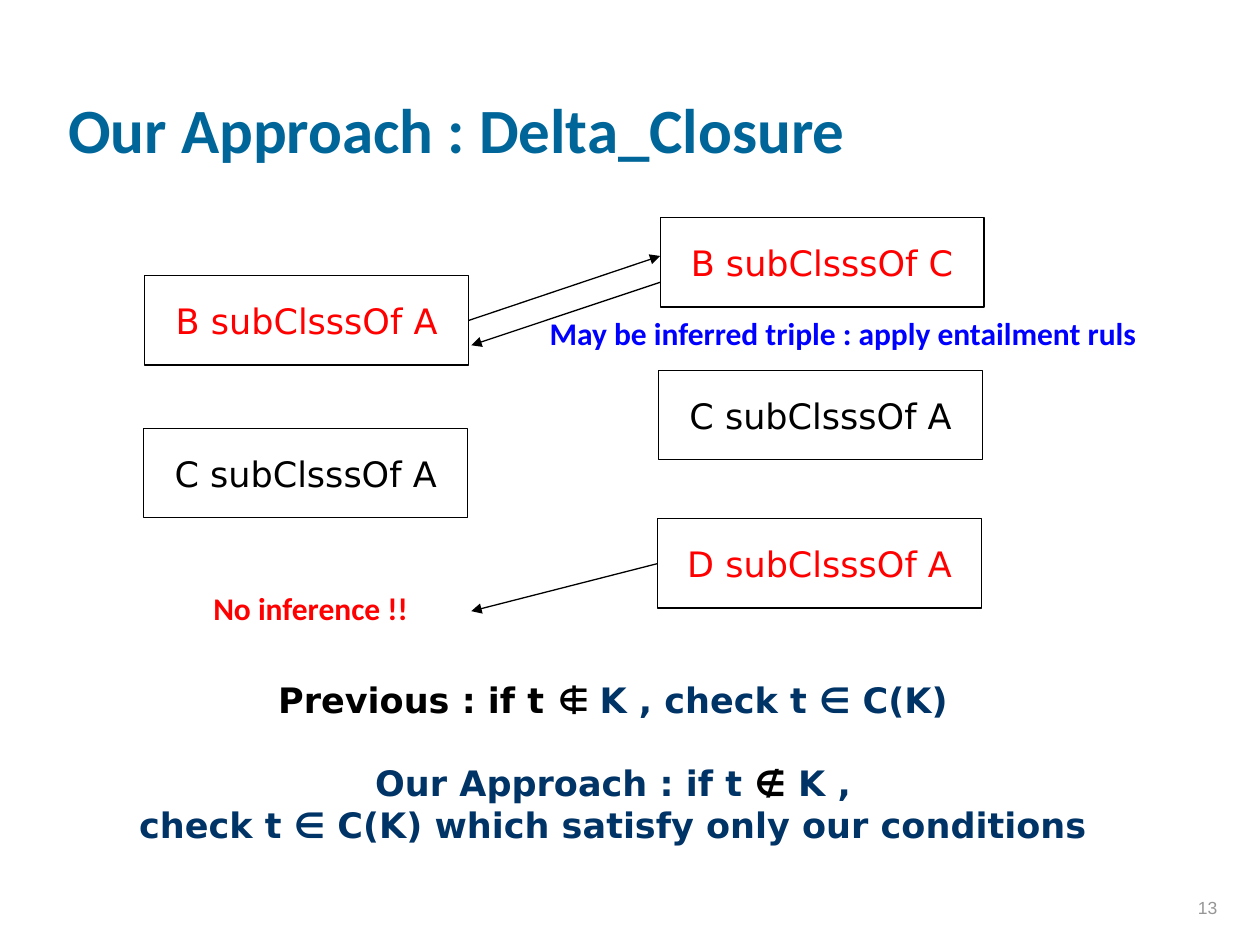
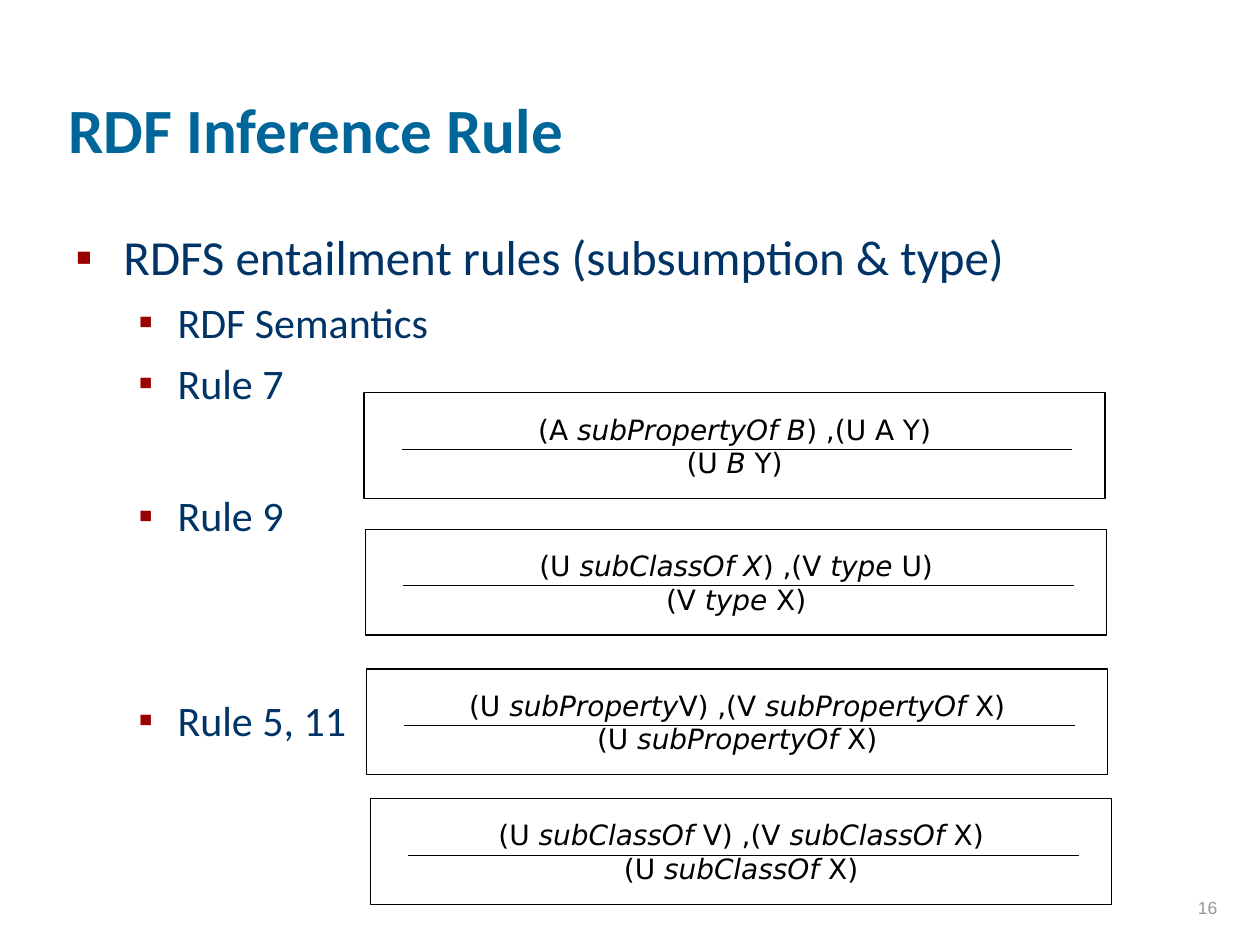
import pptx
import pptx.dml.color
import pptx.enum.shapes
import pptx.enum.text
import pptx.oxml
import pptx.oxml.ns
import pptx.util
from lxml import etree

Cm = pptx.util.Cm
Pt = pptx.util.Pt
RGBColor = pptx.dml.color.RGBColor
ALIGN = pptx.enum.text.PP_ALIGN
ANCHOR = pptx.enum.text.MSO_ANCHOR
qn = pptx.oxml.ns.qn

BLACK = RGBColor(0x00, 0x00, 0x00)
RED = RGBColor(0xFF, 0x00, 0x00)
BLUE = RGBColor(0x00, 0x00, 0xFF)
NAVY = RGBColor(0x00, 0x33, 0x66)
TEAL = RGBColor(0x00, 0x66, 0x99)
GREY = RGBColor(0x96, 0x96, 0x96)
BULLET_RED = RGBColor(0x99, 0x00, 0x00)

TITLE_FORMAT = {"name": "Calibri", "size": Pt(36), "bold": True, "color": TEAL}
NUMBER_FORMAT = {"name": "Arial", "size": Pt(10), "color": GREY}
TRIPLE_FORMAT = {"name": "DejaVu Sans", "size": Pt(20)}
RULE_FORMAT = {"name": "DejaVu Sans", "size": Pt(16), "color": BLACK}
LABEL_FORMAT = {"name": "Calibri", "size": Pt(18), "bold": True}
CONCLUSION_FORMAT = {"name": "DejaVu Sans", "size": Pt(20), "bold": True, "color": NAVY}
LIST_FORMAT = {"name": "Calibri", "color": NAVY}

# Per list level: left margin and hanging indent in cm, text size in points
LIST_LEVELS = [(0.97, 0.97, 28), (2.06, 0.79, 24)]


def format_font(font, values):
    for name, value in values.items():
        if name == "color":
            font.color.rgb = value
        else:
            setattr(font, name, value)


def add_run(paragraph, text, values):
    run = paragraph.add_run()
    run.text = text
    format_font(run.font, values)


def add_text_box(slide, left, top, width, height):
    frame = slide.shapes.add_textbox(Cm(left), Cm(top), Cm(width), Cm(height)).text_frame
    frame.word_wrap = True
    return frame


def add_titled_slide(presentation, title, number):
    slide = presentation.slides.add_slide(presentation.slide_layouts[5])
    placeholder = slide.shapes.title
    geometry = {"left": 1.12, "top": 0.3, "width": 21.59, "height": 3.18}
    for name, value in geometry.items():
        setattr(placeholder, name, Cm(value))
    frame = placeholder.text_frame
    frame.auto_size = pptx.enum.text.MSO_AUTO_SIZE.NONE
    frame.vertical_anchor = ANCHOR.BOTTOM
    frame.paragraphs[0].alignment = ALIGN.LEFT
    add_run(frame.paragraphs[0], title, TITLE_FORMAT)

    frame = add_text_box(slide, 19.51, 17.37, 5.28, 1.27)
    frame.vertical_anchor = ANCHOR.BOTTOM
    frame.paragraphs[0].alignment = ALIGN.RIGHT
    add_run(frame.paragraphs[0], str(number), NUMBER_FORMAT)
    return slide


def add_box(slide, left, top, width, height, lines, values):
    """Outlined box with centred lines; text between asterisks is italic."""
    box = slide.shapes.add_shape(pptx.enum.shapes.MSO_SHAPE.RECTANGLE,
                                 Cm(left), Cm(top), Cm(width), Cm(height))
    box.shadow.inherit = False
    box.fill.background()
    box.line.color.rgb = BLACK
    box.line.width = Pt(0.75)
    frame = box.text_frame
    frame.word_wrap = False
    frame.vertical_anchor = ANCHOR.MIDDLE
    for index, line in enumerate(lines):
        paragraph = frame.add_paragraph() if index else frame.paragraphs[0]
        paragraph.alignment = ALIGN.CENTER
        for part, text in enumerate(line.split("*")):
            add_run(paragraph, text, {**values, "italic": part % 2 == 1})
    return box


def add_line(slide, start, end, arrow=False):
    connector = slide.shapes.add_connector(pptx.enum.shapes.MSO_CONNECTOR.STRAIGHT,
                                           *map(Cm, start + end))
    connector.line.color.rgb = BLACK
    connector.line.width = Pt(0.75)
    if arrow:
        etree.SubElement(connector.line._get_or_add_ln(), qn("a:tailEnd"), type="triangle")
    etree.SubElement(connector._element.spPr, qn("a:effectLst"))
    return connector


def add_label(slide, left, top, width, text, color):
    paragraph = add_text_box(slide, left, top, width, 1.35).paragraphs[0]
    paragraph.line_spacing = 0.8
    add_run(paragraph, text, {**LABEL_FORMAT, "color": color})


def add_conclusion(slide, paragraphs):
    """Centred statements, each given as space before and runs with overrides."""
    frame = add_text_box(slide, 1.86, 13.56, 21, 3.8)
    for index, (space_before, runs) in enumerate(paragraphs):
        paragraph = frame.add_paragraph() if index else frame.paragraphs[0]
        paragraph.alignment = ALIGN.CENTER
        paragraph.space_before = Pt(space_before)
        for text, overrides in runs:
            add_run(paragraph, text, {**CONCLUSION_FORMAT, **overrides})


def add_bullet(paragraph, margin, hanging):
    properties = paragraph._p.get_or_add_pPr()
    properties.set("marL", str(Cm(margin)))
    properties.set("indent", str(-Cm(hanging)))
    color = etree.SubElement(properties, qn("a:buClr"))
    etree.SubElement(color, qn("a:srgbClr"), val=str(BULLET_RED))
    etree.SubElement(properties, qn("a:buFont"), typeface="Arial")
    etree.SubElement(properties, qn("a:buChar"), char="▪")


def add_bullet_list(slide, items):
    frame = add_text_box(slide, 1.27, 4.45, 22.7, 12.4)
    for index, (level, space_before, text) in enumerate(items):
        paragraph = frame.add_paragraph() if index else frame.paragraphs[0]
        margin, hanging, size = LIST_LEVELS[level]
        paragraph.level = level
        paragraph.space_before = Pt(space_before)
        add_bullet(paragraph, margin, hanging)
        add_run(paragraph, text, {**LIST_FORMAT, "size": Pt(size)})


def add_rule(slide, left, top, premises, consequence):
    add_box(slide, left, top, 14.94, 2.13, [premises, consequence], RULE_FORMAT)
    bar_left, bar_top = left + 0.76, top + 1.14
    add_line(slide, (bar_left, bar_top), (bar_left + 13.52, bar_top))


def build_delta_closure(presentation):
    slide = add_titled_slide(presentation, "Our Approach : Delta_Closure", 13)
    triples = [
        (2.92, 5.56, "B subClsssOf A", RED),
        (2.9, 8.64, "C subClsssOf A", BLACK),
        (13.31, 4.39, "B subClsssOf C", RED),
        (13.28, 7.47, "C subClsssOf A", BLACK),
        (13.26, 10.46, "D subClsssOf A", RED),
    ]
    boxes = [add_box(slide, left, top, 6.53, 1.8, [text], {**TRIPLE_FORMAT, "color": color})
             for left, top, text, color in triples]

    to_inferred = add_line(slide, (9.45, 6.46), (13.31, 5.16), arrow=True)
    to_inferred.begin_connect(boxes[0], 3)
    add_line(slide, (13.31, 5.69), (9.5, 6.96), arrow=True)
    to_nothing = add_line(slide, (13.26, 11.36), (9.5, 12.32), arrow=True)
    to_nothing.begin_connect(boxes[4], 1)

    add_label(slide, 4.05, 11.89, 5.1, "No inference !!", RED)
    add_label(slide, 10.83, 6.35, 14.1, "May be inferred triple : apply entailment ruls", BLUE)
    add_conclusion(slide, [
        (0, [("Previous : if t ", {"color": BLACK}),
             ("∉ ", {"color": BLACK, "name": "Noto Sans CJK JP"}),
             ("K , check t ∈ C(K)", {})]),
        (23, [("Our Approach : if t ", {}), ("∉ ", {"color": BLACK}), ("K ,", {})]),
        (0, [("check t ∈ C(K) which satisfy only our conditions", {})]),
    ])


def build_inference_rules(presentation):
    slide = add_titled_slide(presentation, "RDF Inference Rule", 16)
    add_bullet_list(slide, [
        (0, 0, "RDFS entailment rules (subsumption & type)"),
        (1, 6, "RDF Semantics"),
        (1, 6, "Rule 7"),
        (1, 47, "Rule 9"),
        (1, 88, "Rule 5, 11"),
    ])
    rules = [
        (7.34, 7.92, "(A *subPropertyOf B*) ,(U A Y)", "(U *B* Y)"),
        (7.37, 10.67, "(U *subClassOf X*) ,(V *type* U)", "(V *type* X)"),
        (7.39, 13.49, "(U *subProperty*V) ,(V *subPropertyOf* X)", "(U *subPropertyOf* X)"),
        (7.47, 16.1, "(U *subClassOf *V) ,(V *subClassOf* X)", "(U *subClassOf* X)"),
    ]
    for rule in rules:
        add_rule(slide, *rule)


def main():
    presentation = pptx.Presentation()
    presentation.slide_width = Cm(25.4)
    presentation.slide_height = Cm(19.05)
    build_delta_closure(presentation)
    build_inference_rules(presentation)
    presentation.save("out.pptx")


if __name__ == "__main__":
    main()
